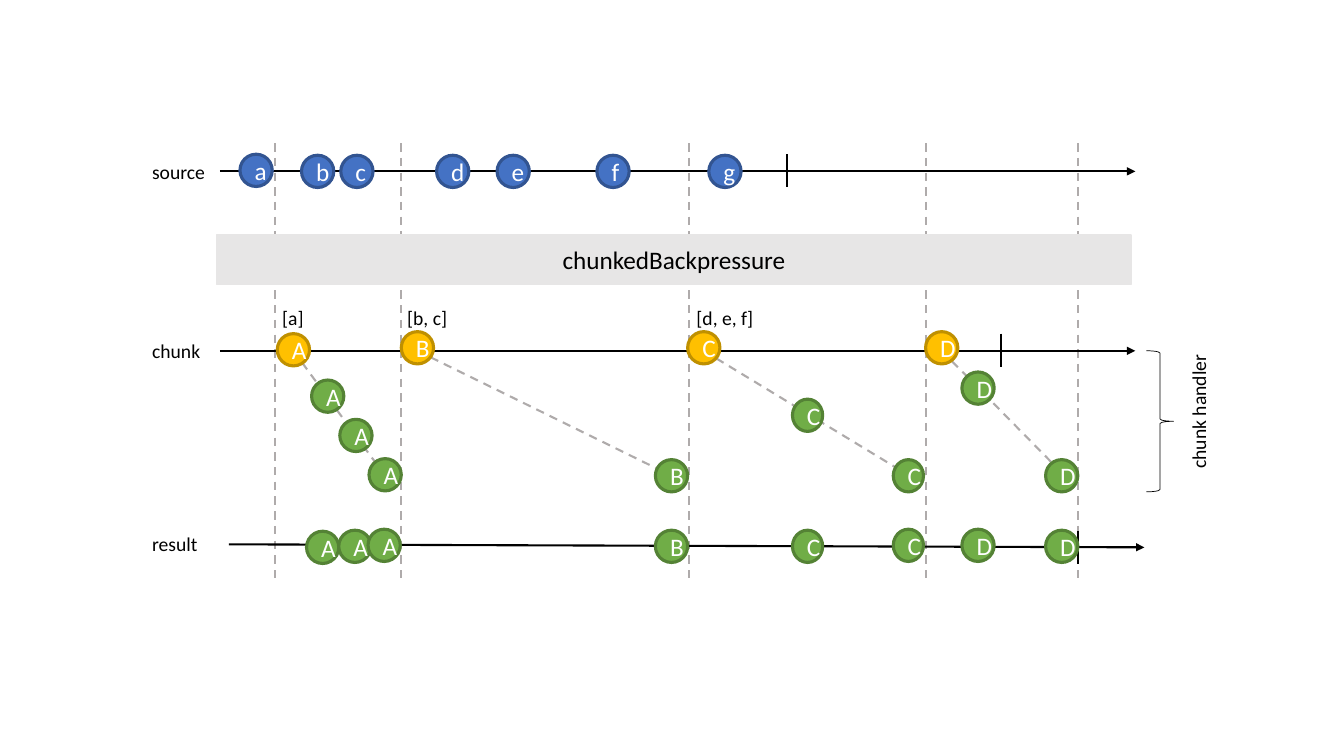
import pptx
import pptx.dml.color
import pptx.enum.dml
import pptx.enum.shapes
import pptx.enum.text
import pptx.oxml.ns
import pptx.util
from lxml import etree

RGBColor = pptx.dml.color.RGBColor
Shape = pptx.enum.shapes.MSO_SHAPE

BLACK = RGBColor(0x00, 0x00, 0x00)
WHITE = RGBColor(0xFF, 0xFF, 0xFF)
GUIDE_GRAY = RGBColor(0xAF, 0xAB, 0xAB)
BAND_GRAY = RGBColor(0xE7, 0xE6, 0xE6)
BLUE, DARK_BLUE = RGBColor(0x44, 0x72, 0xC4), RGBColor(0x32, 0x54, 0x91)
GOLD, DARK_GOLD = RGBColor(0xFF, 0xC0, 0x00), RGBColor(0xBF, 0x90, 0x00)
GREEN, DARK_GREEN = RGBColor(0x70, 0xAD, 0x47), RGBColor(0x54, 0x82, 0x35)

# The slide is a grid of square cells; all lengths count columns and rows.
CELL = pptx.util.Inches(1)
COLUMNS, ROWS = 13.33, 7.5
MARBLE = 0.32
LABEL_HEIGHT = 0.34
LABEL_LEFT = 1.41
CHUNK_ROW = 3.48
HANDLER_END = 4.72

GUIDES = (2.73, 3.98, 6.83, 9.18, 10.69)
# name, label width, label top, axis start, axis end, completion tick, tick top
TIMELINES = (
    ("source", 0.73, 1.54, (2.18, 1.7), (11.26, 1.7), 7.81, 1.53),
    ("chunk", 0.68, 3.31, (2.18, CHUNK_ROW), (11.26, CHUNK_ROW), 9.93, 3.31),
    ("result", 0.66, 5.23, (2.27, 5.4), (11.35, 5.43), 10.69, 5.27),
)
SOURCE = (("a", 2.38, 1.53), ("b", 2.99, 1.54), ("c", 3.38, 1.54), ("d", 4.33, 1.54),
          ("e", 4.93, 1.54), ("f", 5.92, 1.54), ("g", 7.03, 1.54))
CHUNKS = (("A", 2.75, 3.31), ("B", 3.98, 3.29), ("C", 6.82, 3.29), ("D", 9.18, 3.29))
HANDLER_ENDS = (3.82, 6.66, 9.02, 10.56)
CHUNK_LABELS = (("[a]", 2.7, 0.42), ("[b, c]", 3.94, 0.6), ("[d, e, f]", 6.81, 0.77))
HANDLED = (("A", 3.66, 4.55), ("B", 6.5, 4.56), ("C", 8.86, 4.56), ("D", 10.37, 4.56),
           ("A", 3.09, 3.77), ("A", 3.37, 4.16), ("C", 7.86, 3.96), ("D", 9.54, 3.69))
RESULTS = (("A", 3.04, 5.27), ("A", 3.36, 5.26), ("A", 3.65, 5.25), ("B", 6.5, 5.26),
           ("C", 7.86, 5.26), ("C", 8.86, 5.25), ("D", 9.54, 5.25), ("D", 10.37, 5.26))


def cells(*counts):
    """Turn counts of grid cells into slide lengths."""
    return [round(count * CELL) for count in counts]


def write_text(shape, text, size, color=BLACK, align=None):
    """Put one formatted line of text into a shape."""
    paragraph = shape.text_frame.paragraphs[0]
    paragraph.alignment = align
    run = paragraph.add_run()
    run.text = text
    run.font.name = "Calibri"
    run.font.size = pptx.util.Pt(size)
    run.font.color.rgb = color


def add_line(slide, start, end, color=BLACK, dashed=False, arrow=False):
    """Draw a straight line, optionally dashed or ending in an arrowhead."""
    connector = slide.shapes.add_connector(
        pptx.enum.shapes.MSO_CONNECTOR.STRAIGHT, *cells(*start, *end))
    connector.line.color.rgb = color
    connector.line.width = pptx.util.Pt(1.5)
    if dashed:
        connector.line.dash_style = pptx.enum.dml.MSO_LINE.DASH
    qualified = pptx.oxml.ns.qn
    properties = connector.element.spPr
    if arrow:
        outline = properties.find(qualified("a:ln"))
        etree.SubElement(outline, qualified("a:tailEnd"), type="triangle")
    etree.SubElement(properties, qualified("a:effectLst"))


def add_figure(slide, kind, box, fill, outline, line_width):
    """Draw a preset shape; without a fill colour it stays open."""
    shape = slide.shapes.add_shape(kind, *cells(*box))
    shape.shadow.inherit = False
    if fill is None:
        shape.fill.background()
    else:
        shape.fill.solid()
        shape.fill.fore_color.rgb = fill
    shape.line.color.rgb = outline
    shape.line.width = pptx.util.Pt(line_width)
    return shape


def add_marbles(slide, marbles, fill, outline):
    """Draw lettered circles for the events of one stream."""
    for letter, left, top in marbles:
        width = 0.3 if letter == "C" and fill == GREEN else MARBLE
        marble = add_figure(slide, Shape.OVAL, (left, top, width, MARBLE),
                            fill, outline, 2.25)
        write_text(marble, letter, 18, color=WHITE, align=pptx.enum.text.PP_ALIGN.CENTER)


def add_label(slide, text, left, top, width, rotation=0):
    """Add a one-line caption."""
    label = slide.shapes.add_textbox(*cells(left, top, width, LABEL_HEIGHT))
    label.rotation = rotation
    label.text_frame.word_wrap = False
    label.text_frame.auto_size = pptx.enum.text.MSO_AUTO_SIZE.SHAPE_TO_FIT_TEXT
    write_text(label, text, 14)


def add_timeline(slide, name, label_width, label_top, start, end, tick, tick_top):
    """Draw a named time axis with its completion tick."""
    add_line(slide, start, end, arrow=True)
    add_line(slide, (tick, tick_top), (tick, tick_top + 0.33))
    add_label(slide, name, LABEL_LEFT, label_top, label_width)


def add_operator(slide, name):
    """Draw the band that names the operator."""
    band = add_figure(slide, Shape.RECTANGLE, (2.15, 2.33, 9.07, 0.49),
                      BAND_GRAY, BAND_GRAY, 1)
    write_text(band, name, 18, align=pptx.enum.text.PP_ALIGN.CENTER)


def main():
    """Build the marble diagram and save it."""
    presentation = pptx.Presentation()
    presentation.slide_width, presentation.slide_height = cells(COLUMNS, ROWS)
    slide = presentation.slides.add_slide(presentation.slide_layouts[6])

    for column in GUIDES:
        add_line(slide, (column, 1.42), (column, 5.8), GUIDE_GRAY, dashed=True)
    for (_, left, _), end in zip(CHUNKS, HANDLER_ENDS):
        add_line(slide, (left + MARBLE / 2, CHUNK_ROW), (end, HANDLER_END),
                 GUIDE_GRAY, dashed=True, arrow=True)
    for timeline in TIMELINES:
        add_timeline(slide, *timeline)
    add_operator(slide, "chunkedBackpressure")

    add_marbles(slide, SOURCE, BLUE, DARK_BLUE)
    add_marbles(slide, CHUNKS, GOLD, DARK_GOLD)
    add_marbles(slide, HANDLED + RESULTS, GREEN, DARK_GREEN)
    for text, left, width in CHUNK_LABELS:
        add_label(slide, text, left, 2.99, width)

    add_figure(slide, Shape.RIGHT_BRACE, (11.37, CHUNK_ROW, 0.27, 1.4), None, BLACK, 0.5)
    add_label(slide, "chunk handler", 11.22, 3.91, 1.34, rotation=270)
    presentation.save("out.pptx")


main()
